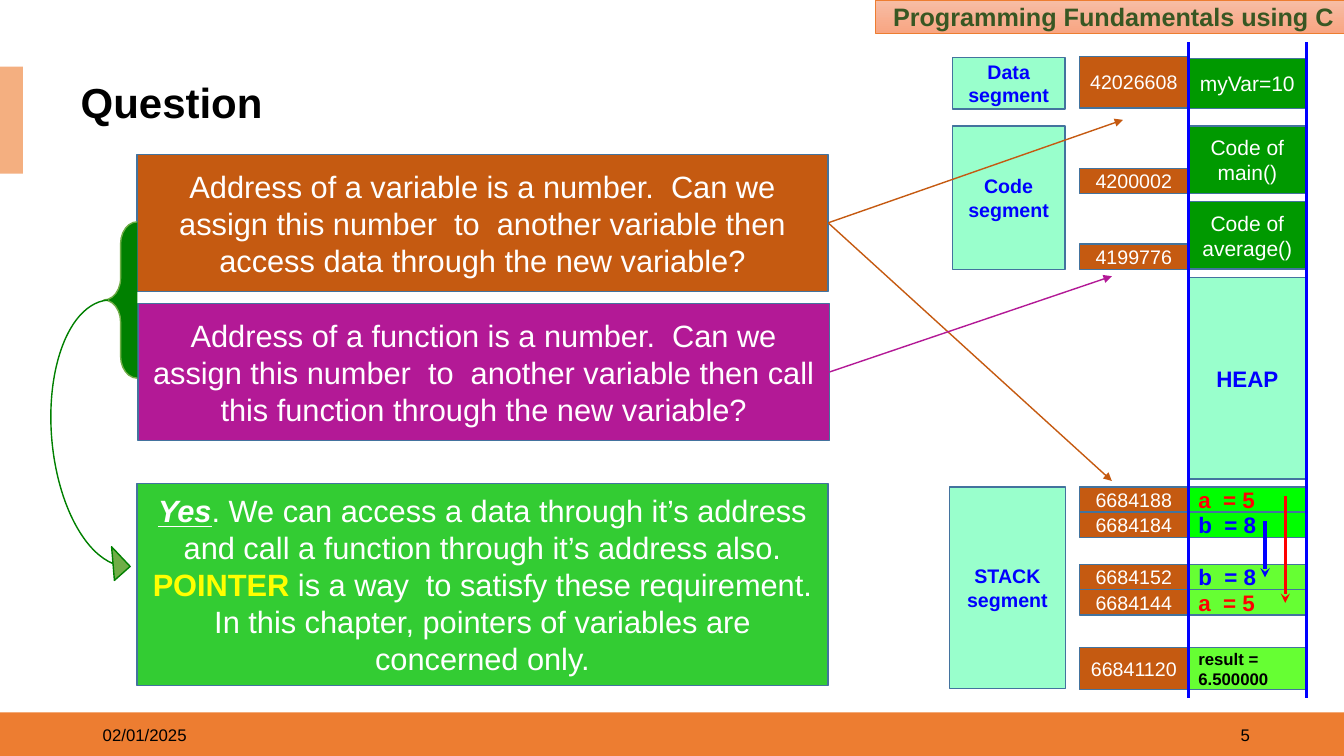
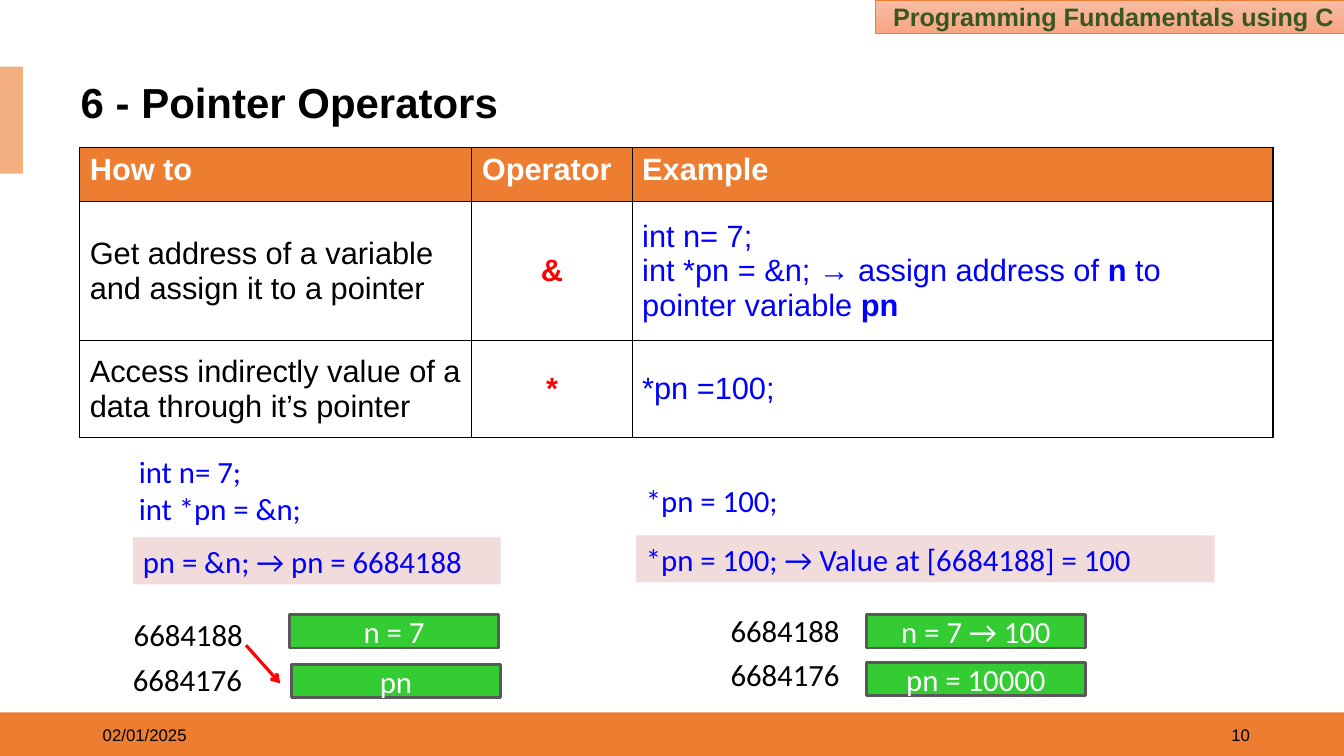
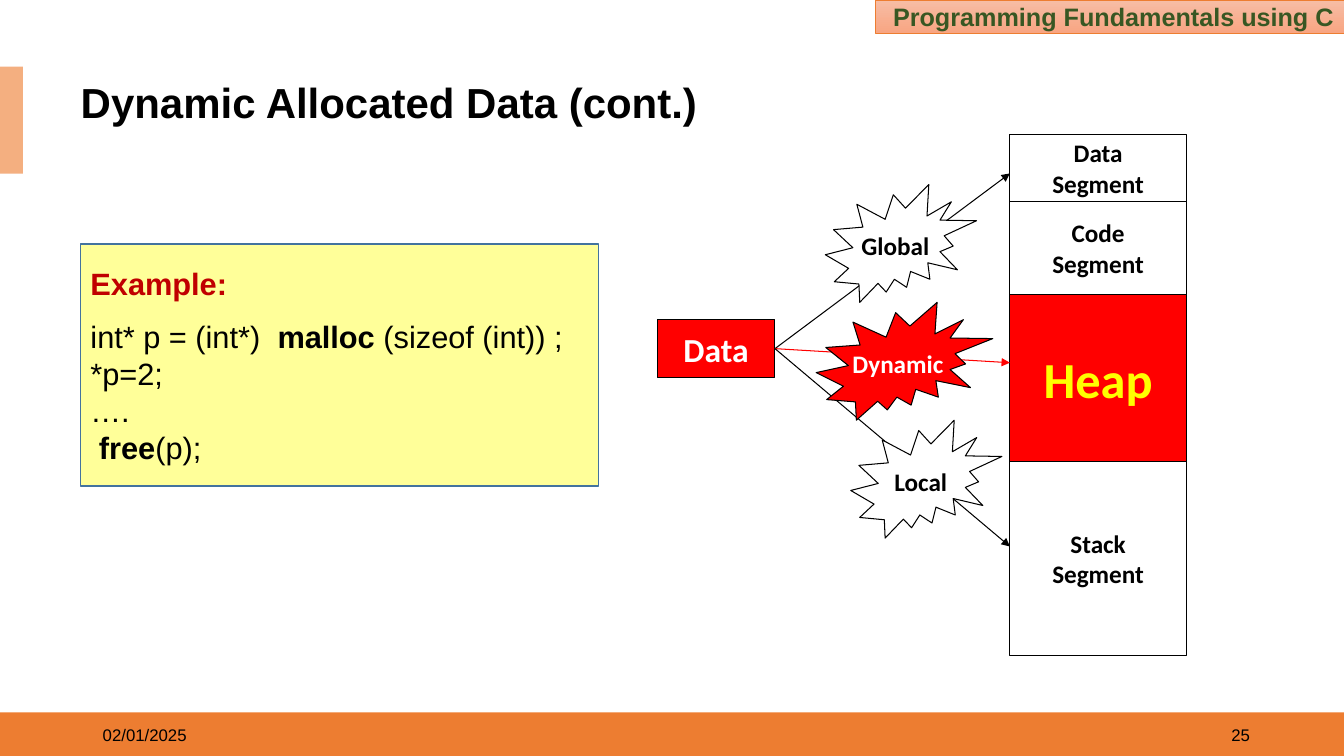
from itertools import accumulate

from lxml.etree import SubElement
from pptx import Presentation
from pptx.dml.color import RGBColor
from pptx.enum.shapes import MSO_CONNECTOR, MSO_SHAPE
from pptx.enum.text import MSO_ANCHOR, MSO_AUTO_SIZE, PP_ALIGN
from pptx.oxml.ns import qn
from pptx.util import Cm, Pt

BLACK = RGBColor(0x00, 0x00, 0x00)
WHITE = RGBColor(0xFF, 0xFF, 0xFF)
RED = RGBColor(0xFF, 0x00, 0x00)
CRIMSON = RGBColor(0xC0, 0x00, 0x00)
BLUE = RGBColor(0x00, 0x00, 0xFF)
STEEL = RGBColor(0x43, 0x73, 0x9E)
GRAY = RGBColor(0x59, 0x59, 0x59)
ORANGE = RGBColor(0xED, 0x7D, 0x31)
PEACH = RGBColor(0xF4, 0xAF, 0x80)
SAND = RGBColor(0xF7, 0xBD, 0xA5)
CORAL = RGBColor(0xF8, 0xA5, 0x82)
RUST = RGBColor(0xC5, 0x5A, 0x11)
PURPLE = RGBColor(0xB3, 0x19, 0x96)
PINK = RGBColor(0xF2, 0xDC, 0xDB)
YELLOW = RGBColor(0xFF, 0xFF, 0x00)
CREAM = RGBColor(0xFF, 0xFF, 0x99)
MINT = RGBColor(0x99, 0xFF, 0xCC)
MOSS = RGBColor(0x38, 0x57, 0x23)
PINE = RGBColor(0x00, 0x80, 0x00)
LEAF = RGBColor(0x70, 0xAD, 0x47)
FOREST = RGBColor(0x00, 0x99, 0x00)
GREEN = RGBColor(0x33, 0xCC, 0x33)
NEON = RGBColor(0x00, 0xFF, 0x00)
LIME = RGBColor(0x66, 0xFF, 0x33)

LEFT, MID, RIGHT = PP_ALIGN.LEFT, PP_ALIGN.CENTER, PP_ALIGN.RIGHT
TOP, MIDDLE = MSO_ANCHOR.TOP, MSO_ANCHOR.MIDDLE
RECT = MSO_SHAPE.RECTANGLE
BOLD = {"bold": True}


class Deck:
    """Holds the style and the current slide."""

    def __init__(self):
        self.prs = Presentation()
        self.prs.slide_width, self.prs.slide_height = Cm(33.87), Cm(19.05)
        self.layout = self.prs.slide_layouts[5]
        for spare in list(self.layout.placeholders)[1:]:
            spare.element.getparent().remove(spare.element)
        self.slide = None

    def page(self, title, number):
        first = self.slide is None
        self.slide = self.prs.slides.add_slide(self.layout)
        if first:
            self.bands()
        head = self.slide.shapes.title
        head.left, head.top, head.width, head.height = map(Cm, (1.78, 2, 30.78, 1.3))
        self.words(head.text_frame, title, 30, BLACK, LEFT, bold=True)
        head.text_frame.auto_size = MSO_AUTO_SIZE.NONE
        head.text_frame.paragraphs[0].line_spacing = 0.9
        self.text((24.13, 18, 7.62, 1.02), str(number), 12, BLACK, RIGHT)
        self.text((2.34, 18, 7.62, 1.02), "02/01/2025", 12, BLACK, LEFT)

    def bands(self):
        """Draw the shared bands and hand them to the layout."""
        foot = self.box((0, 17.95, 33.87, 1.1), ORANGE)
        side = self.box((0, 1.68, 0.58, 2.7), PEACH)
        tag = self.box((22.07, 0, 11.8, 0.84), SAND, ORANGE, 0.5)
        self.words(tag.text_frame, "Programming Fundamentals using C",
                   18, MOSS, RIGHT, bold=True)
        tag.fill.gradient()
        tag.fill.gradient_angle = 270
        for stop, color in zip(tag.fill.gradient_stops, (SAND, CORAL)):
            stop.color.rgb = color
        for band in (foot, side, tag):
            self.layout.shapes.element.append(band.element)

    def words(self, frame, text, size, color, align=MID, face="Arial",
              bold=False, anchor=MIDDLE, wrap=True):
        """Text is a string or a list of paragraphs, each a string or runs."""
        frame.word_wrap, frame.vertical_anchor = wrap, anchor
        for i, runs in enumerate([text] if isinstance(text, str) else text):
            para = frame.add_paragraph() if i else frame.paragraphs[0]
            para.alignment = align
            font = para.font
            font.name, font.size, font.bold = face, Pt(size), bold
            font.color.rgb = color
            for part in [runs] if isinstance(runs, str) else runs:
                piece, look = (part, {}) if isinstance(part, str) else part
                run = para.add_run()
                run.text = piece
                run.font.bold = look.get("bold")
                run.font.italic = look.get("italic")
                run.font.underline = look.get("underline")
                if "color" in look:
                    run.font.color.rgb = look["color"]

    def box(self, at, fill, edge=None, width=1, kind=RECT):
        shape = self.slide.shapes.add_shape(kind, *map(Cm, at))
        shape.shadow.inherit = False
        shape.fill.solid()
        shape.fill.fore_color.rgb = fill
        if edge is None:
            shape.line.fill.background()
        else:
            shape.line.color.rgb = edge
            shape.line.width = Pt(width)
        return shape

    def label(self, at, fill, text, size, color, edge=STEEL, width=1,
              kind=RECT, **look):
        shape = self.box(at, fill, edge, width, kind)
        self.words(shape.text_frame, text, size, color, **look)
        return shape

    def text(self, at, text, size, color, align=LEFT, **look):
        shape = self.slide.shapes.add_textbox(*map(Cm, at))
        self.words(shape.text_frame, text, size, color, align, **look)

    def line(self, start, end, color, width, tip=None, source=None):
        """Draw a line; with a source box, begin at its right side."""
        link = self.slide.shapes.add_connector(
            MSO_CONNECTOR.STRAIGHT, *map(Cm, (*start, *end)))
        if source is not None:
            link.begin_connect(source, 3)
        link.line.color.rgb = color
        link.line.width = Pt(width)
        props = link.element.spPr
        if tip:
            SubElement(props.find(qn("a:ln")), qn("a:tailEnd"), type=tip)
        SubElement(props, qn("a:effectLst"))

    def table(self, at, cols, rows):
        """Rows are (height, fill, cells); a cell is (text, look)."""
        heights = [row[0] for row in rows]
        size = (sum(cols), sum(heights))
        grid = self.slide.shapes.add_table(
            len(rows), len(cols), *map(Cm, (*at, *size))).table
        for col, width in zip(grid.columns, cols):
            col.width = Cm(width)
        for r, (height, fill, cells) in enumerate(rows):
            grid.rows[r].height = Cm(height)
            for c, (text, look) in enumerate(cells):
                cell = grid.cell(r, c)
                self.frame(cell)
                cell.fill.solid()
                cell.fill.fore_color.rgb = fill
                self.words(cell.text_frame, text, 22, **look)
                cell.vertical_anchor = MIDDLE if r else TOP

    def frame(self, cell):
        props = cell._tc.get_or_add_tcPr()
        for side in ("a:lnL", "a:lnR", "a:lnT", "a:lnB"):
            edge = SubElement(props, qn(side), w=str(Pt(1)))
            fill = SubElement(edge, qn("a:solidFill"))
            SubElement(fill, qn("a:srgbClr"), val=str(BLACK))


def question(deck):
    deck.page("Question", 5)

    # Memory map: addresses and contents
    addr, body = (27.2, 2.75), (29.95, 2.97)
    code = {"size": 15, "color": WHITE}
    var_a = {"size": 16, "color": RED, "align": LEFT, "bold": True}
    var_b = {**var_a, "color": BLUE}
    total = {**var_a, "size": 12, "color": BLACK}
    cells = [  # address, its top and height, contents, top, height, fill, look
        ("42026608", 1.42, 1.3, "myVar=10", 1.47, 1.27, FOREST, code),
        ("4200002", 4.24, 0.64, "Code of main()", 3.18, 1.7, FOREST, code),
        ("4199776", 6.15, 0.64, "Code of average()", 5.08, 1.7, FOREST, code),
        ("6684188", 12.27, 0.64, "a  = 5", 12.27, 0.64, NEON, var_a),
        ("6684184", 12.9, 0.64, "b  = 8", 12.9, 0.64, NEON, var_b),
        ("6684152", 14.22, 0.64, "b  = 8", 14.22, 0.64, LIME, var_b),
        ("6684144", 14.86, 0.64, "a  = 5", 14.86, 0.64, LIME, var_a),
        ("66841120", 16.31, 1.07, "result = 6.500000", 16.31, 1.07, LIME, total),
    ]
    deck.label((body[0], 6.99, body[1], 5.08), MINT, "HEAP", 16, BLUE, bold=True)
    for place, top, high, text, y, h, fill, look in cells:
        deck.label((addr[0], top, addr[1], high), RUST, place, 14, WHITE)
        deck.label((body[0], y, body[1], h), fill, text, **look)
    for x in (body[0], sum(body)):
        deck.line((x, 1.07), (x, 17.58), BLUE, 2.25)
    deck.line((31.88, 13.13), (31.88, 14.55), BLUE, 2.25, "stealth")
    deck.line((32.39, 12.5), (32.39, 15.19), RED, 2.25, "stealth")

    # Segment names
    for at, name in (((24, 1.45, 2.84, 1.3), "Data segment"),
                     ((24, 3.18, 2.84, 3.61), "Code segment"),
                     ((23.93, 12.27, 2.92, 5.08), ["STACK", "segment"])):
        deck.label(at, MINT, name, 14, BLUE, bold=True)

    # Questions and answer
    data = deck.label(
        (3.45, 3.89, 17.42, 3.45), RUST,
        "Address of a variable is a number.  Can we assign this number  to  "
        "another variable then access data through the new variable?", 22, WHITE)
    func = deck.label(
        (3.48, 7.65, 17.42, 3.45), PURPLE,
        "Address of a function is a number.  Can we assign this number  to  "
        "another variable then call this function through the new variable?",
        22, WHITE)
    deck.label((3.45, 12.19, 17.42, 5.08), GREEN, [
        [("Yes", {"bold": True, "italic": True, "underline": True}),
         ". We can access a data through it’s address and call a function "
         "through it’s address also. ",
         ("POINTER", {"color": YELLOW, "bold": True}),
         " is a way  to satisfy these requirement."],
        "In this chapter, pointers of variables are concerned only.",
    ], 22, WHITE)

    # Links
    for source, start, end, color in (
            (data, (20.87, 5.61), (28.02, 12.12), RUST),
            (data, (20.87, 5.61), (28.3, 3.02), RUST),
            (func, (20.9, 9.37), (28.02, 6.96), PURPLE)):
        deck.line(start, end, color, 1, "triangle", source)
    brace = deck.box((2.62, 5.59, 0.84, 3.94), PINE, LEAF,
                     kind=MSO_SHAPE.LEFT_BRACE)
    brace.adjustments[0] = 0.66
    curve = deck.box((1.32, 7.62, 1.7, 7.16), LEAF, PINE,
                     kind=MSO_SHAPE.CURVED_RIGHT_ARROW)
    curve.rotation = 355.2
    for i, value in enumerate((0, 0.5, 0.25)):
        curve.adjustments[i] = value


def pointers(deck):
    deck.page("6 - Pointer Operators", 10)

    # Operator table
    head = {"color": WHITE, "align": LEFT, "bold": True}
    plain = {"color": BLACK, "align": LEFT}
    sign = {"color": RED, "bold": True}
    code = {"color": BLUE, "align": LEFT}
    deck.table((2.01, 3.71), (9.88, 4.04, 16.15), [
        (1.37, ORANGE, [("How to", head), ("Operator", head), ("Example", head)]),
        (3.51, WHITE, [
            ("Get address of a variable and assign it to a pointer", plain),
            ("&", sign),
            (["int n= 7;",
              ["int *pn = &n; → assign address of ", ("n ", BOLD),
               "to pointer variable ", ("pn", BOLD)]], code)]),
        (2.44, WHITE, [
            ("Access indirectly value of a data through it’s pointer", plain),
            ("*", sign), ("*pn =100;", code)]),
    ])

    # Code and results
    face = {"face": "Calibri"}
    note = {**face, "anchor": TOP}
    deck.text((3.25, 11.28, 7.62, 2.13), ["int n= 7;", "int *pn = &n;"],
              22, BLUE, **note)
    deck.text((16.03, 12.01, 5.08, 1.19), "*pn = 100;", 22, BLUE, **note)
    for at, text in (
            ((3.35, 13.54, 9.27, 1.19), "pn = &n; → pn = 6684188"),
            ((16.03, 13.49, 14.58, 1.19), "*pn = 100; → Value at [6684188] = 100")):
        deck.label(at, PINK, text, 22, BLUE, None, align=LEFT, **note)

    # Memory cells
    for x, y, place in ((2.84, 15.44, "6684188"), (2.82, 16.59, "6684176"),
                        (17.88, 15.34, "6684188"), (17.88, 16.46, "6684176")):
        deck.text((x, y, 3.81, 1.07), place, 22, BLACK, MID, **face)
    for x, y, w, text in ((7.29, 15.49, 5.28, "n = 7"), (7.34, 16.74, 5.28, "pn"),
                          (21.84, 15.49, 5.51, "n = 7 → 100"),
                          (21.84, 16.69, 5.51, "pn = 10000")):
        deck.label((x, y, w, 0.84), GREEN, text, 22, WHITE, GRAY, 2, **face)
    deck.line((6.2, 16.26), (7.06, 17.22), RED, 2.25, "arrow")


def dynamic(deck):
    deck.page("Dynamic Allocated Data (cont.)", 25)

    # Example code
    code = deck.label((2.03, 6.15, 13.06, 6.1), CREAM, [
        [("Example:", {"color": CRIMSON, "bold": True})],
        ["int* p = (int*)  ", ("malloc", BOLD), " (sizeof (int)) ;"],
        "*p=2;",
        "….",
        [" ", ("free", BOLD), "(p);"],
    ], 22, BLACK, align=LEFT)
    code.text_frame.paragraphs[1].space_before = Pt(12)

    # Memory segments, stacked
    look = {"edge": BLACK, "width": 0.75, "face": "Calibri", "bold": True,
            "wrap": False}
    parts = [(1.7, WHITE, ["Data", "Segment"], 18, BLACK),
             (2.34, WHITE, ["Code", "Segment"], 18, BLACK),
             (4.22, RED, "Heap", 36, YELLOW),
             (4.88, WHITE, ["Stack", "Segment"], 18, BLACK)]
    tops = accumulate((part[0] for part in parts), initial=3.38)
    for top, (high, fill, text, size, color) in zip(tops, parts):
        deck.label((25.45, top, 4.45, high), fill, text, size, color, **look)

    # Links from data, with a burst on each
    data = deck.label((16.56, 8.05, 2.97, 1.47), RED, "Data", 24, WHITE, **look)
    for y, color in ((4.37, BLACK), (9.14, RED), (13.77, BLACK)):
        deck.line((19.53, 8.78), (25.45, y), color, 0.75, "triangle", data)
    for x, y, w, fill, text, color in (
            (21.44, 10.59, 3.81, WHITE, "Local", BLACK),
            (20.8, 4.65, 3.81, WHITE, "Global", BLACK),
            (20.57, 7.62, 4.45, RED, "Dynamic", WHITE)):
        deck.label((x, y, w, 2.97), fill, text, 18, color,
                   kind=MSO_SHAPE.EXPLOSION2, **look)


def main():
    deck = Deck()
    question(deck)
    pointers(deck)
    dynamic(deck)
    deck.prs.save("out.pptx")


if __name__ == "__main__":
    main()
